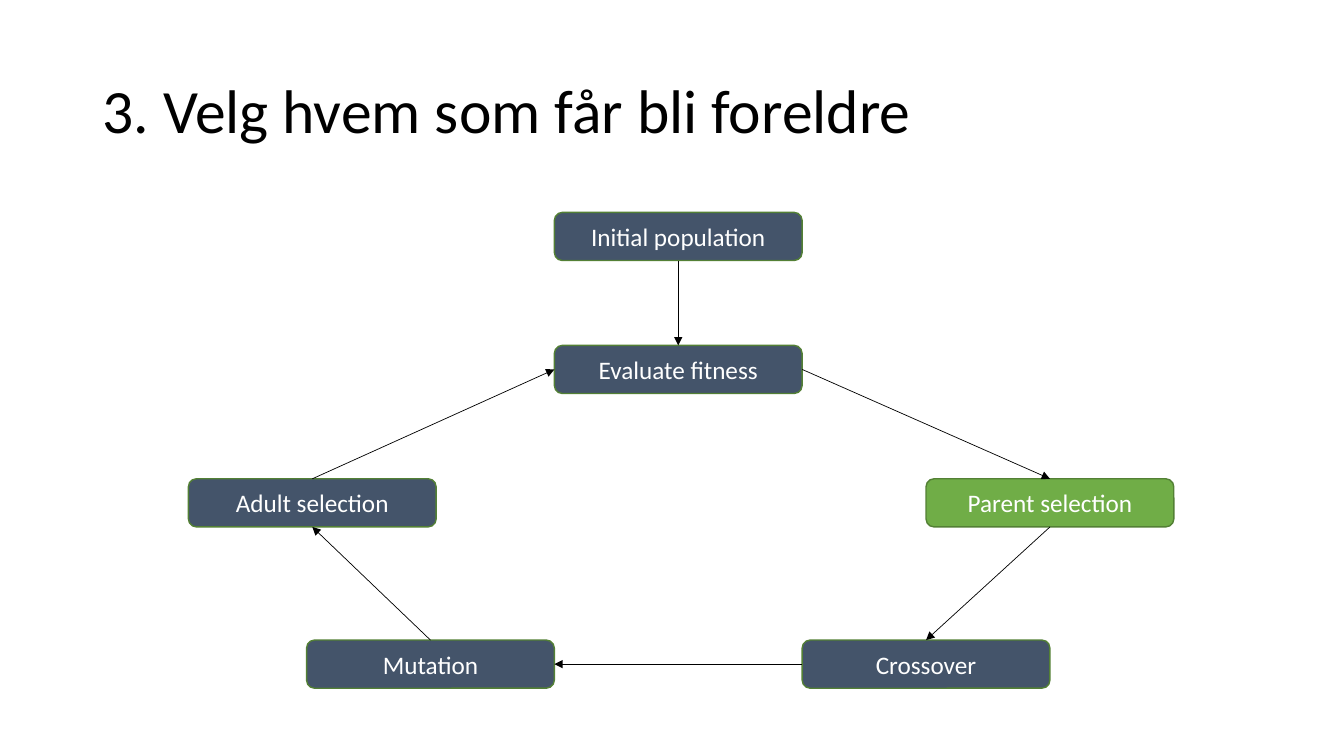
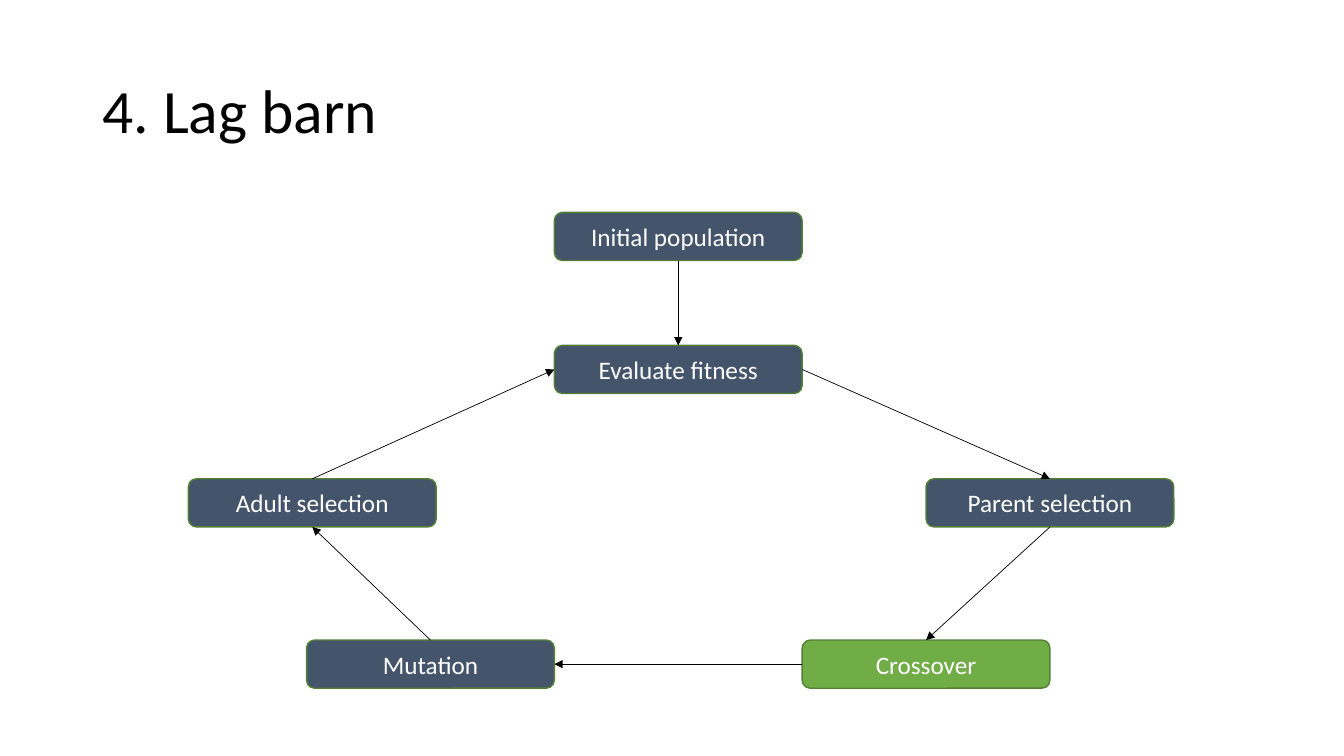
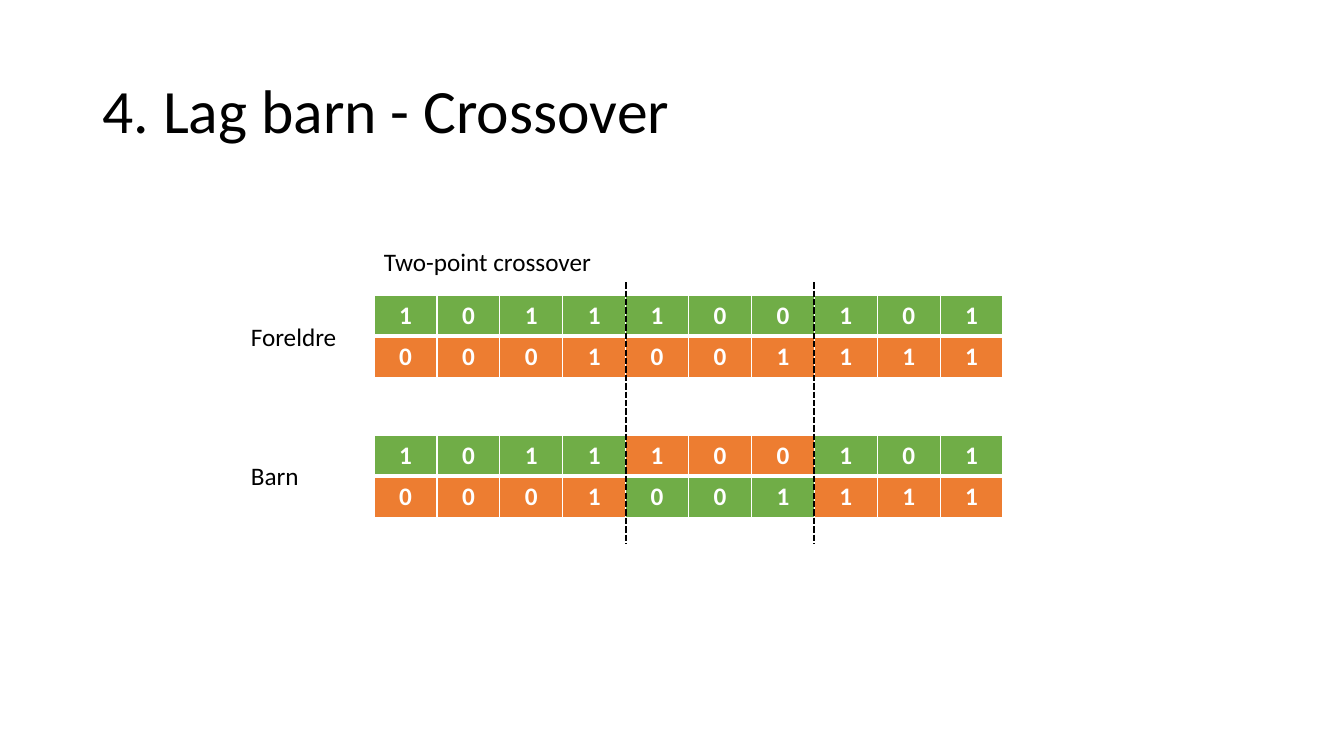
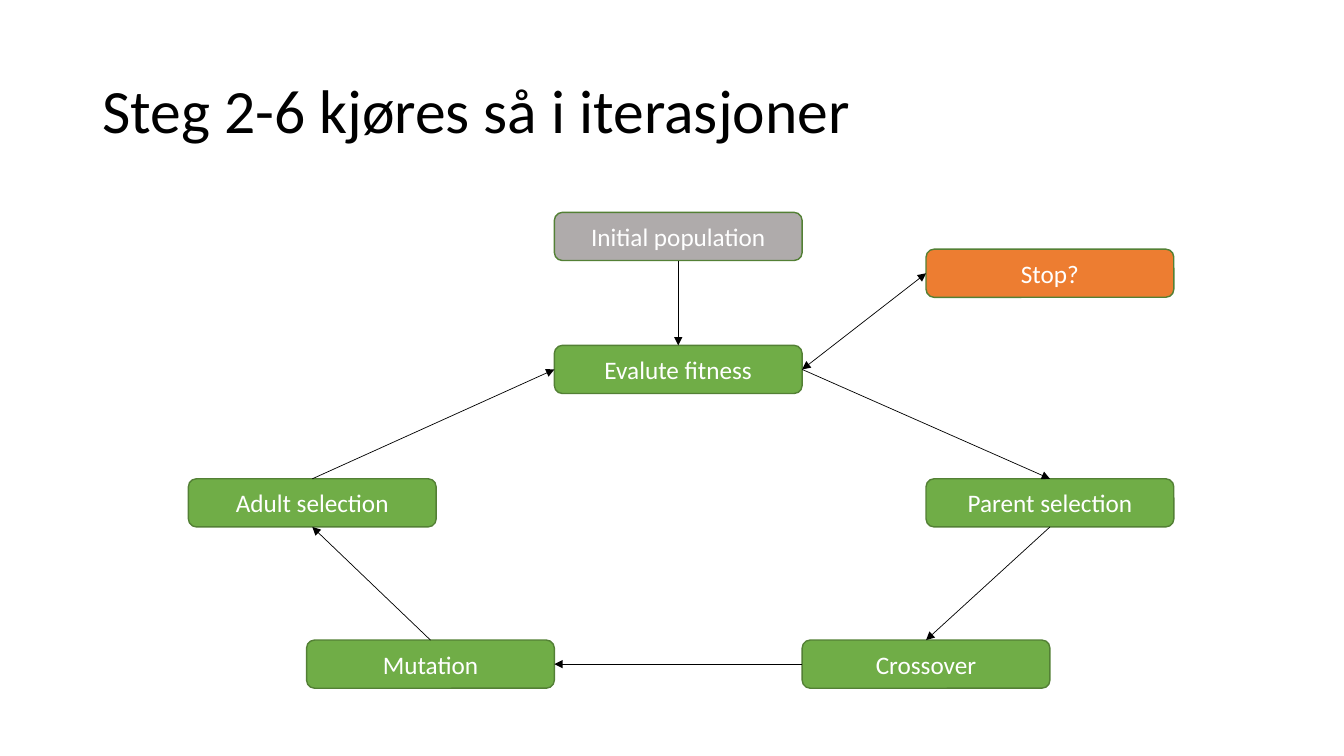
from lxml import etree
from pptx import Presentation
from pptx.dml.color import RGBColor
from pptx.enum import dml, shapes, text
from pptx.oxml import ns
from pptx.util import Pt

COLORS = {
    "navy": "44546A", "green": "70AD47", "orange": "ED7D31", "gray": "AFABAB",
    "edge": "538035", "white": "FFFFFF", "black": "000000",
}
RGB = {name: RGBColor.from_string(value) for name, value in COLORS.items()}
FONT = "Calibri"
TOP, LEFT, BOTTOM, RIGHT = range(4)  # connection sites of a box

prs = Presentation()
prs.slide_width, prs.slide_height = Pt(960), Pt(540)


def style_text(tf, size=18, color="black", align=text.PP_ALIGN.LEFT):
    """Format the only paragraph of a text frame and return it."""
    p = tf.paragraphs[0]
    p.alignment = align
    p.font.size, p.font.name = Pt(size), FONT
    p.font.color.rgb = RGB[color]
    return p


def add_line(s, width, x=0, top=0, bottom=0):
    """Add a plain black vertical line without shadow."""
    line = s.shapes.add_connector(
        shapes.MSO_CONNECTOR.STRAIGHT, Pt(x), Pt(top), Pt(x), Pt(bottom))
    line.line.width = Pt(width)
    line.line.color.rgb = RGB["black"]
    etree.SubElement(line._element.spPr, ns.qn("a:effectLst"))
    return line


# Titles
TITLES = [
    "3. Velg hvem som får bli foreldre",
    "4. Lag barn",
    "4. Lag barn - Crossover",
    "Steg 2-6 kjøres så i iterasjoner",
]
for title in TITLES:
    s = prs.slides.add_slide(prs.slide_layouts[5])
    sp = s.shapes.title
    sp.left, sp.top, sp.width, sp.height = Pt(66), Pt(28.75), Pt(828), Pt(104.4)
    tf = sp.text_frame
    tf.text = title
    tf.auto_size = text.MSO_AUTO_SIZE.NONE
    tf.vertical_anchor = text.MSO_ANCHOR.MIDDLE
    style_text(tf, 44).line_spacing = 0.9
parents_slide, children_slide, crossover_slide, loop_slide = prs.slides

# Flow diagrams
BOX_W, BOX_H = 177, 34.4
MID_X = 396
RIGHT_X = MID_X + 1.5 * BOX_W
BOXES = {
    "Evaluate fitness": (MID_X, 246.7),
    "Initial population": (MID_X, 151.7),
    "Parent selection": (RIGHT_X, 342),
    "Crossover": (MID_X + BOX_W, 457.2),
    "Mutation": (MID_X - BOX_W, 457.2),
    "Adult selection": (134.6, 342),
}
STOP_BOX = {"Stop?": (RIGHT_X, 178)}
ARROWS = [
    ("Initial population", BOTTOM, "Evaluate fitness", TOP),
    ("Evaluate fitness", RIGHT, "Parent selection", TOP),
    ("Parent selection", BOTTOM, "Crossover", TOP),
    ("Crossover", LEFT, "Mutation", RIGHT),
    ("Mutation", TOP, "Adult selection", BOTTOM),
    ("Adult selection", TOP, "Evaluate fitness", LEFT),
]
STOP_ARROW = ("Evaluate fitness", RIGHT, "Stop?", LEFT)
LOOP_FILLS = {"Initial population": "gray", "Stop?": "orange"}
LOOP_WORDING = {"Evaluate fitness": "Evalute fitness"}

FLOWS = [
    (parents_slide, BOXES, ARROWS, "navy", {"Parent selection": "green"}, {}),
    (children_slide, BOXES, ARROWS, "navy", {"Crossover": "green"}, {}),
    (loop_slide, BOXES | STOP_BOX, ARROWS + [STOP_ARROW], "green", LOOP_FILLS, LOOP_WORDING),
]
for s, boxes, arrows, base_fill, fills, wording in FLOWS:
    steps = {}
    for name, (x, y) in boxes.items():
        sp = s.shapes.add_shape(
            shapes.MSO_SHAPE.ROUNDED_RECTANGLE, Pt(x), Pt(y), Pt(BOX_W), Pt(BOX_H))
        sp.shadow.inherit = False
        sp.fill.solid()
        sp.fill.fore_color.rgb = RGB[fills.get(name, base_fill)]
        sp.line.color.rgb = RGB["edge"]
        sp.line.width = Pt(1)
        tf = sp.text_frame
        tf.text = wording.get(name, name)
        tf.vertical_anchor = text.MSO_ANCHOR.MIDDLE
        style_text(tf, color="white", align=text.PP_ALIGN.CENTER)
        steps[name] = sp
    for arrow in arrows:
        start, start_site, end, end_site = arrow
        line = add_line(s, 0.5)
        line.begin_connect(steps[start], start_site)
        line.end_connect(steps[end], end_site)
        ln = line._element.spPr.find(ns.qn("a:ln"))
        for tag in ("a:headEnd", "a:tailEnd") if arrow == STOP_ARROW else ("a:tailEnd",):
            etree.SubElement(ln, ns.qn(tag), type="triangle")

# Crossover tables
s = crossover_slide
GENES = ["1011100101", "0001001111"]
ROW_FILLS = ["green", "orange"]
CUTS = (4, 7)
TABLE_X, CELL_W, CELL_H = 267.2, 44.93, 29.2
TABLE_W = CELL_W * len(GENES[0])

for table_y, swapped in ((211, False), (311, True)):
    table = s.shapes.add_table(
        len(GENES), len(GENES[0]), Pt(TABLE_X), Pt(table_y),
        Pt(TABLE_W), Pt(CELL_H * len(GENES))).table
    for column in table.columns:
        column.width = Pt(CELL_W)
    for row, genes in enumerate(GENES):
        table.rows[row].height = Pt(CELL_H)
        borders = {"L": 1, "R": 1, "T": 3 if row else 1, "B": 1 if row else 3}
        for col, gene in enumerate(genes):
            cell = table.cell(row, col)
            cell.text = gene
            style_text(cell.text_frame, color="white",
                       align=text.PP_ALIGN.CENTER).font.bold = True
            tc_pr = cell._tc.get_or_add_tcPr()
            for side, width in borders.items():
                ln = etree.SubElement(tc_pr, ns.qn(f"a:ln{side}"), w=str(Pt(width)))
                fill = etree.SubElement(ln, ns.qn("a:solidFill"))
                etree.SubElement(fill, ns.qn("a:srgbClr"), val=COLORS["white"])
            exchanged = swapped and CUTS[0] <= col < CUTS[1]
            cell.fill.solid()
            cell.fill.fore_color.rgb = RGB[ROW_FILLS[row ^ exchanged]]

LABELS = [
    ("Two-point crossover", TABLE_X, 172.1, TABLE_W, True),
    ("Foreldre", 172.1, 226.1, 76.3, False),
    ("Barn", 172.1, 325.6, 49, False),
]
for label, x, y, width, wrap in LABELS:
    tf = s.shapes.add_textbox(Pt(x), Pt(y), Pt(width), Pt(29.1)).text_frame
    tf.text = label
    tf.word_wrap = wrap
    tf.auto_size = text.MSO_AUTO_SIZE.SHAPE_TO_FIT_TEXT
    style_text(tf)

for cut in CUTS:
    line = add_line(s, 1.5, TABLE_X + cut * CELL_W, 201.6, 388.8)
    line.line.dash_style = dml.MSO_LINE.SQUARE_DOT

prs.save("out.pptx")
